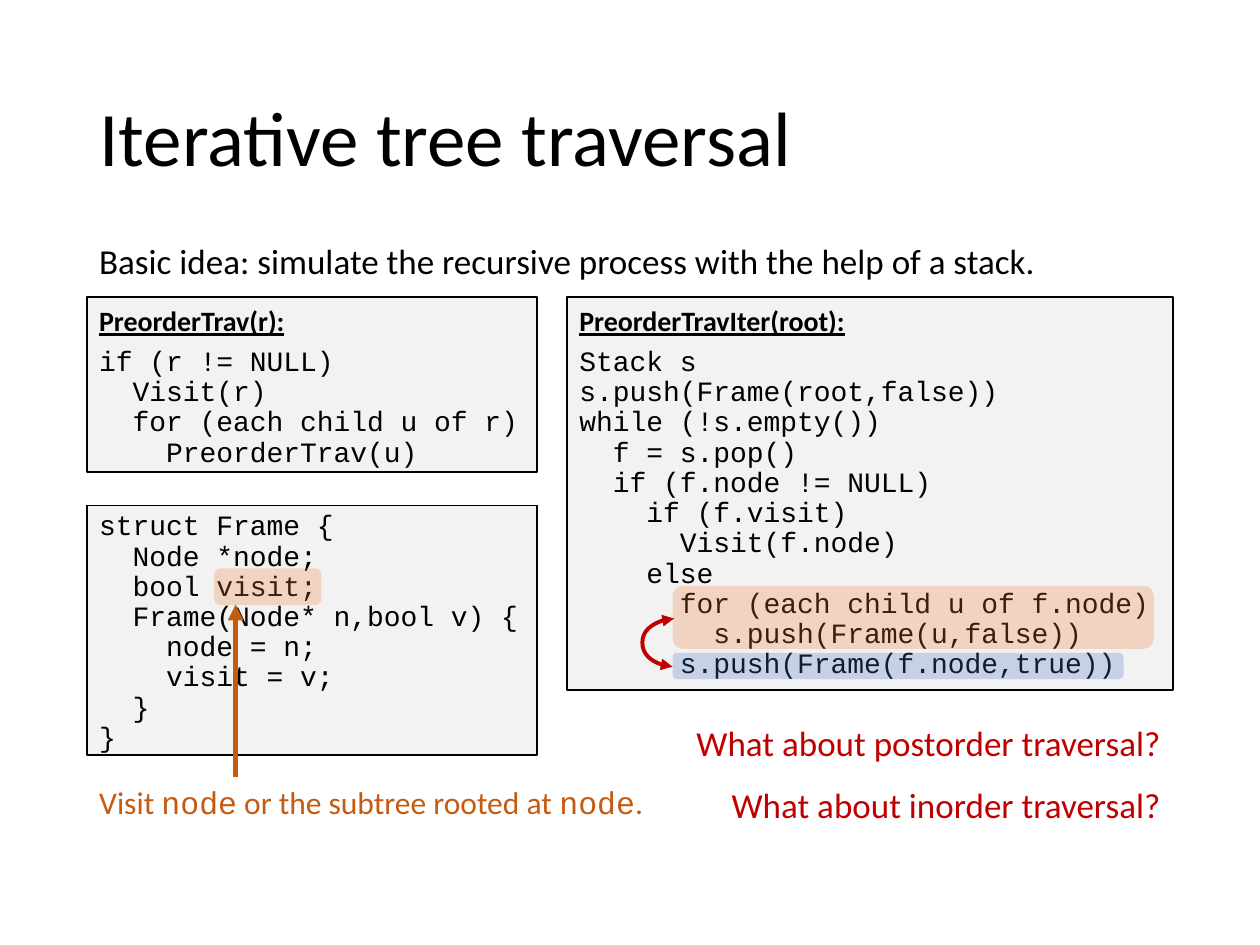
from lxml.etree import SubElement
from pptx import Presentation
from pptx.dml.color import RGBColor
from pptx.enum.shapes import MSO_CONNECTOR as Link, MSO_SHAPE as Preset
from pptx.enum.text import MSO_ANCHOR as Anchor, MSO_AUTO_SIZE as AutoSize, PP_ALIGN as Align
from pptx.oxml.ns import qn
from pptx.util import Cm, Pt

COLORS = {"ink": "000000", "panel": "F2F2F2", "orange": "ED7D31",
          "blue": "4472C4", "rust": "C55A11", "red": "C00000"}
BODY, MONO = "Calibri", "Courier New"
LEFT, RIGHT = 1.75, 23.65

TITLE = "Iterative tree traversal"
IDEA = "Basic idea: simulate the recursive process with the help of a stack."
LISTINGS = [
    ((LEFT, 5.99, 9.07, 3.53), "PreorderTrav(r):", """\
if (r != NULL)
  Visit(r)
  for (each child u of r)
    PreorderTrav(u)"""),
    ((11.43, 5.99, 12.22, 7.92), "PreorderTravIter(root):", """\
Stack s
s.push(Frame(root,false))
while (!s.empty())
  f = s.pop()
  if (f.node != NULL)
    if (f.visit)
      Visit(f.node)
    else
      for (each child u of f.node)
        s.push(Frame(u,false))
      s.push(Frame(f.node,true))"""),
    ((LEFT, 10.19, 9.07, 5.03), None, """\
struct Frame {
  Node *node;
  bool visit;
  Frame(Node* n,bool v) {
    node = n;
    visit = v;
  }
}"""),
]
VISIT_NOTE = [("Visit ", BODY), ("node", MONO), (" or the subtree rooted at ", BODY),
              ("node", MONO), (".", BODY)]
QUESTIONS = [("What about postorder traversal?", 14.43, 9.96),
             ("What about inorder traversal?", 15.67, 9.25)]
VISIT_FLAG = (4.32, 11.46, 2.16, 0.74)
SWAPPED_STEPS = [((13.56, 11.81, 9.7, 1.27), "orange"), ((13.56, 13.16, 9.09, 0.53), "blue")]
SWAP_START, SWAP_END, SWAP_BEND = (13.59, 12.47), (13.56, 13.44), 12.95


def rgb(name):
    return RGBColor.from_string(COLORS[name])


def style(paragraph, size, color, font=BODY):
    paragraph.font.size, paragraph.font.name = Pt(size), font
    paragraph.font.color.rgb = rgb(color)


def add_listing(shapes, place, heading, code):
    panel = shapes.add_shape(Preset.RECTANGLE, *map(Cm, place))
    panel.shadow.inherit = False
    panel.fill.solid()
    panel.fill.fore_color.rgb = rgb("panel")
    panel.line.color.rgb, panel.line.width = rgb("ink"), Pt(1)
    frame = panel.text_frame
    frame.vertical_anchor, frame.word_wrap = Anchor.TOP, True
    lines = code.split("\n")
    frame.text = "\n".join([heading] + lines if heading else lines)
    for paragraph in frame.paragraphs:
        paragraph.alignment, paragraph.line_spacing = Align.LEFT, 0.9
        style(paragraph, 16, "ink", MONO)
    if heading:
        first = frame.paragraphs[0]
        style(first, 16, "ink")
        first.font.bold = first.font.underline = True
        first.line_spacing, first.space_after = 1.0, Pt(6)


def add_note(shapes, place, runs, size, color, align=Align.LEFT):
    note = shapes.add_textbox(*map(Cm, place))
    frame = note.text_frame
    frame.word_wrap, frame.auto_size = False, AutoSize.SHAPE_TO_FIT_TEXT
    paragraph = frame.paragraphs[0]
    paragraph.alignment = align
    style(paragraph, size, color)
    for text, font in runs:
        run = paragraph.add_run()
        run.text, run.font.name = text, font


def add_highlight(shapes, place, color):
    mark = shapes.add_shape(Preset.ROUNDED_RECTANGLE, *map(Cm, place))
    mark.shadow.inherit = False
    mark.fill.solid()
    mark.fill.fore_color.rgb = rgb(color)
    SubElement(mark.fill._xPr.find(".//" + qn("a:srgbClr")), qn("a:alpha"), val="25000")
    mark.line.fill.background()


def add_arrow(shapes, kind, start, end, color, width, ends):
    arrow = shapes.add_connector(kind, *map(Cm, start + end))
    arrow.line.color.rgb, arrow.line.width = rgb(color), Pt(width)
    for end_tag in ends:
        SubElement(arrow.line._get_or_add_ln(), qn(end_tag), type="triangle")
    SubElement(arrow._element.spPr, qn("a:effectLst"))
    return arrow


def main():
    """Build the slide on iterative tree traversal."""
    deck = Presentation()
    deck.slide_width, deck.slide_height = Cm(25.4), Cm(19.05)
    slide = deck.slides.add_slide(deck.slide_layouts[5])
    shapes = slide.shapes

    title = shapes.title
    title.left, title.top, title.width, title.height = map(Cm, (LEFT, 1.02, RIGHT - LEFT, 3.68))
    title.text_frame.text = TITLE
    title.text_frame.vertical_anchor = Anchor.MIDDLE
    title.text_frame.auto_size = AutoSize.NONE
    heading = title.text_frame.paragraphs[0]
    heading.alignment, heading.line_spacing = Align.LEFT, 0.9
    style(heading, 44, "ink")

    add_note(shapes, (LEFT, 4.7, 19.58, 1.11), [(IDEA, BODY)], 20, "ink")
    for place, name, code in LISTINGS:
        add_listing(shapes, place, name, code)

    flag = shapes.add_group_shape().shapes
    add_highlight(flag, VISIT_FLAG, "orange")
    add_note(flag, (LEFT, 15.67, 11.73, 1.02), VISIT_NOTE, 18, "rust")
    add_arrow(flag, Link.STRAIGHT, (4.75, 15.67), (4.75, 12.19), "rust", 3, ["a:tailEnd"])

    for question, top, width in QUESTIONS:
        add_note(shapes, (RIGHT - width, top, width, 1.11), [(question, BODY)], 20, "red",
                 Align.RIGHT)

    swap = shapes.add_group_shape().shapes
    for place, color in SWAPPED_STEPS:
        add_highlight(swap, place, color)
    curve = add_arrow(swap, Link.CURVE, SWAP_START, SWAP_END, "red", 2.25,
                      ["a:headEnd", "a:tailEnd"])
    bend = (SWAP_START[0] - SWAP_BEND) / (SWAP_START[0] - SWAP_END[0])
    guides = curve._element.spPr.prstGeom.get_or_add_avLst()
    SubElement(guides, qn("a:gd"), name="adj1", fmla=f"val {round(bend * 100000)}")

    deck.save("out.pptx")


if __name__ == "__main__":
    main()
